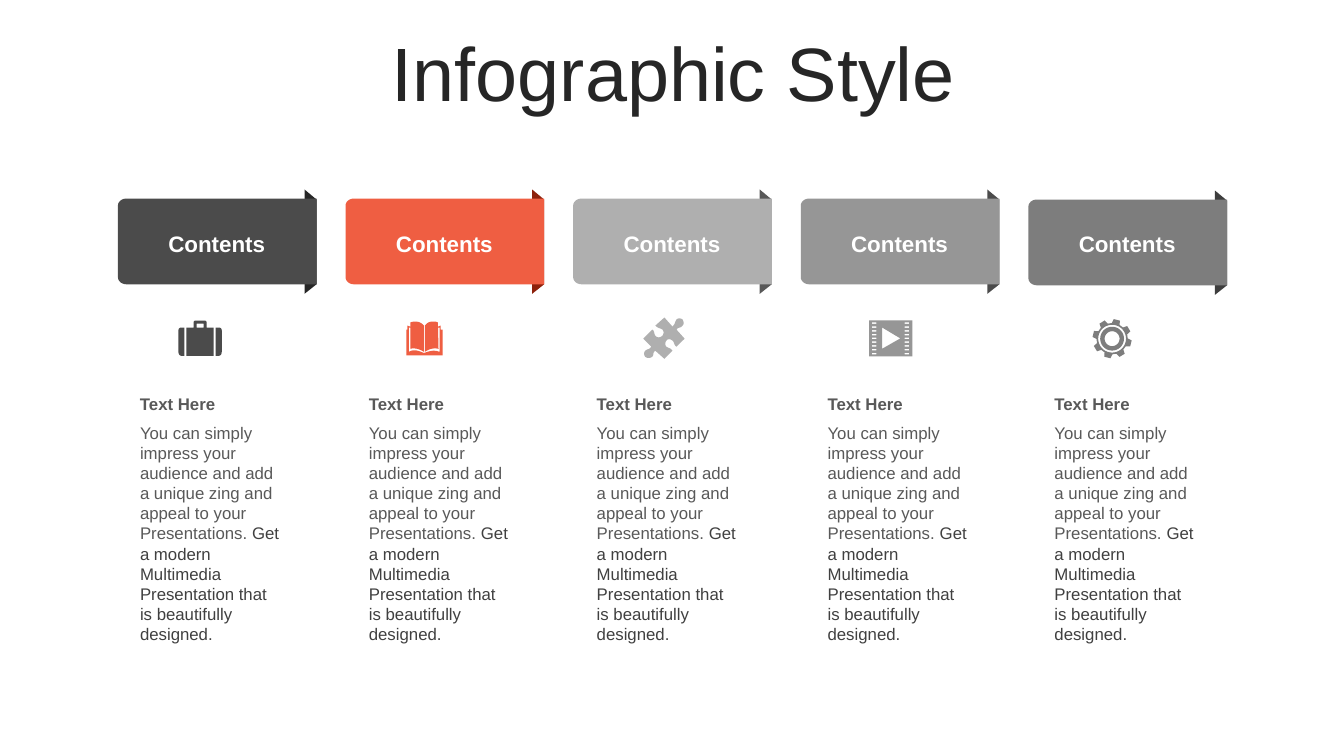
import math

import pptx
import pptx.dml.color
import pptx.enum.text
import pptx.util

Inches = pptx.util.Inches

THEME = {
    "font": "Arial",
    "title_size": 54, "label_size": 16, "text_size": 12,
    "title": "262626", "label": "FFFFFF", "text": "595959", "accent_text": "404040",
}

TITLE = "Infographic Style"
LABEL = "Contents"
HEADING = "Text Here"
BODY = [
    ("You can simply impress your audience and add a unique zing and appeal "
     "to your Presentations. ", THEME["text"]),
    ("Get a modern Multimedia Presentation that is beautifully designed.",
     THEME["accent_text"]),
]

# Outlines are in hundredths of an inch. A pair is a corner; six numbers are
# a Bezier curve (two control points, then the end point).
CARD = [(8, 0), (197, 0), (197, 85), (8, 85), (4, 85, 0, 82, 0, 78), (0, 7),
        (0, 3, 4, 0, 8, 0)]
FOLD = [(0, 0), (12, 10), (12, 94), (0, 103.5)]

BRIEFCASE = [
    [(37, 7), (40, 7), (42, 7, 43, 8, 43, 10), (43, 31), (43, 33, 42, 35, 40, 35),
     (37, 35)],
    [(6, 7), (3, 7), (1, 7, 0, 8, 0, 10), (0, 31), (0, 33, 1, 35, 3, 35), (6, 35)],
    [(17, 0), (26, 0), (27, 0, 28, 1, 28, 2), (28, 7), (35, 7), (35, 35), (8, 35),
     (8, 7), (15, 7), (15, 2), (15, 1, 16, 0, 17, 0)],
    [(18, 3), (25, 3), (25, 7), (18, 7)],
]
BOOK = [[
    (17, 31), (18, 31), (24, 29, 27, 28, 33, 30), (33, 6), (31.5, 6), (32, 27),
    (27, 26, 23, 27, 18.4, 30), (18.4, 4), (21, 1, 23, 0, 26, 0),
    (28, 0, 30, 0, 31.5, 1), (31.5, 5), (34, 4), (34, 8), (36, 8), (36, 33.5),
    (0, 33.5), (0, 8), (1, 8), (1, 4), (4, 5), (4, 1), (6, 0, 8, 0, 9, 0),
    (12, 0, 15, 1, 17.5, 4), (17.5, 30), (13, 27, 8, 26, 4, 27), (4, 6), (2.5, 6),
    (2.5, 30), (8, 27, 12, 29, 17, 31),
]]
PUZZLE = [[
    (39, 2), (40, 4, 41, 6, 39, 8), (37, 11, 35, 9, 33, 12), (41, 21), (33, 29),
    (30, 27, 31, 24, 29, 23), (27, 21, 24, 21, 23, 23), (22, 24, 21, 27, 23, 29),
    (26, 31, 27, 30, 29, 33), (21, 41), (12, 33), (9, 35, 11, 36, 9, 39),
    (6, 41, 3, 40, 2, 39), (1, 38, 0, 35, 2, 33), (4, 31, 6, 32, 8, 29), (0, 21),
    (9, 12), (12, 14, 10, 17, 13, 19), (15, 20, 17, 20, 19, 18),
    (20, 17, 21, 14, 19, 12), (16, 10, 15, 11, 12, 8), (21, 0), (29, 9),
    (32, 6, 31, 5, 33, 2), (35, 0, 38, 1, 39, 2),
]]


def rectangle(left, top, width, height):
    return [(left, top), (left + width, top), (left + width, top + height),
            (left, top + height)]


def polar(radius, degrees):
    """Point at a clockwise angle from straight up."""
    angle = math.radians(degrees)
    return radius * math.sin(angle), -radius * math.cos(angle)


def circle(radius):
    return [polar(radius, degrees) for degrees in range(0, 360, 10)]


FILM = [rectangle(0, 0, 43, 35.5), [(13, 7), (13, 28), (31, 17.75)]]
FILM += [rectangle(left, 2 + 3.75 * row, 4.5, 1.5)
         for left in (2.75, 35.25) for row in range(9)]

TOOTH = [(15.5, -15), (19.5, -9), (19.5, 9), (15.5, 15)]
GEAR = [[polar(radius, 14 + 45 * tooth + offset)
         for tooth in range(8) for radius, offset in TOOTH]]
GEAR += [circle(radius) for radius in (13.8, 11.8, 7.4)]

# card colour, fold colour, card top, text left, icon outline, icon origin
COLUMNS = [
    ("4B4B4B", "262626", 1.97, 1.29, BRIEFCASE, (1.77, 3.18)),
    ("EF5E42", "8D210C", 1.97, 3.56, BOOK, (4.03, 3.19)),
    ("AFAFAF", "585858", 1.97, 5.82, PUZZLE, (6.38, 3.15)),
    ("969696", "4B4B4B", 1.97, 8.11, FILM, (8.62, 3.18)),
    ("7D7D7D", "3E3E3E", 1.98, 10.36, GEAR, (11.03, 3.36)),
]
FIRST_CARD_LEFT, LAST_CARD_LEFT = 1.17, 10.2
CARD_PITCH = (LAST_CARD_LEFT - FIRST_CARD_LEFT) / (len(COLUMNS) - 1)


def flatten(outline, steps=6):
    """Turn corners and curves into plain points in EMU."""
    points = []
    for node in outline:
        if len(node) == 2:
            points.append(node)
            continue
        controls = [points[-1], node[:2], node[2:4], node[4:]]
        for step in range(1, steps + 1):
            t = step / steps
            weights = ((1 - t) ** 3, 3 * t * (1 - t) ** 2, 3 * t * t * (1 - t), t ** 3)
            points.append(tuple(sum(weight * control[axis] for weight, control
                                    in zip(weights, controls)) for axis in (0, 1)))
    return [(Inches(x / 100), Inches(y / 100)) for x, y in points]


def add_outlines(slide, outlines, left, top, color):
    first, *others = [flatten(outline) for outline in outlines]
    builder = slide.shapes.build_freeform(*first[0])
    builder.add_line_segments(first[1:], close=True)
    for points in others:
        builder.move_to(*points[0])
        builder.add_line_segments(points[1:], close=True)
    shape = builder.convert_to_shape(Inches(left), Inches(top))
    shape.shadow.inherit = False
    shape.fill.solid()
    shape.fill.fore_color.rgb = pptx.dml.color.RGBColor.from_string(color)
    shape.line.fill.background()


def add_text(slide, runs, left, top, width, height, *, size, bold=False,
             align="LEFT", anchor="TOP", line_spacing=None):
    """Add one paragraph made of (text, colour) runs."""
    box = slide.shapes.add_textbox(*map(Inches, (left, top, width, height)))
    frame = box.text_frame
    frame.word_wrap = True
    frame.vertical_anchor = getattr(pptx.enum.text.MSO_ANCHOR, anchor)
    paragraph = frame.paragraphs[0]
    paragraph.alignment = getattr(pptx.enum.text.PP_ALIGN, align)
    paragraph.line_spacing = line_spacing
    for text, color in runs:
        run = paragraph.add_run()
        run.text = text
        run.font.name = THEME["font"]
        run.font.size = pptx.util.Pt(size)
        run.font.bold = bold
        run.font.color.rgb = pptx.dml.color.RGBColor.from_string(color)


def main():
    presentation = pptx.Presentation()
    presentation.slide_width, presentation.slide_height = Inches(13.33), Inches(7.5)
    slide = presentation.slides.add_slide(presentation.slide_layouts[6])

    add_text(slide, [(TITLE, THEME["title"])], 0.35, 0.37, 12.66, 0.79,
             size=THEME["title_size"], align="CENTER", anchor="MIDDLE",
             line_spacing=0.9)
    for index, column in enumerate(COLUMNS):
        card_color, fold_color, card_top, text_left, icon, icon_origin = column
        card_left = FIRST_CARD_LEFT + index * CARD_PITCH
        add_outlines(slide, [FOLD], card_left + 1.85, card_top - 0.09, fold_color)
        add_outlines(slide, [CARD], card_left, card_top, card_color)
        add_text(slide, [(LABEL, THEME["label"])], card_left + 0.38, 2.23, 1.2, 0.35,
                 size=THEME["label_size"], bold=True, align="CENTER")
        add_outlines(slide, icon, *icon_origin, card_color)
        add_text(slide, [(HEADING, THEME["text"])], text_left, 3.86, 1.64, 0.3,
                 size=THEME["text_size"], bold=True)
        add_text(slide, BODY, text_left, 4.14, 1.62, 2.32, size=THEME["text_size"])

    presentation.save("out.pptx")


if __name__ == "__main__":
    main()
